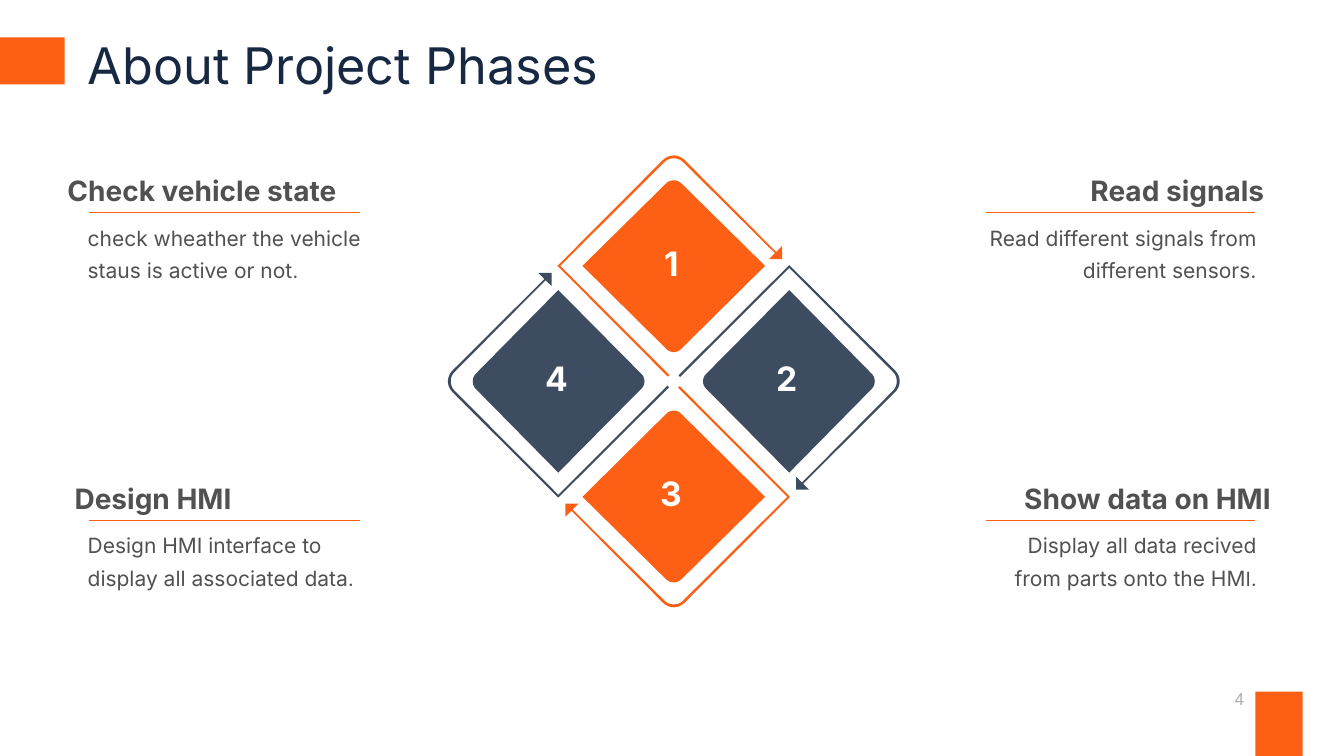
from lxml.etree import SubElement
from pptx import Presentation
from pptx.dml.color import RGBColor
from pptx.enum.shapes import MSO_CONNECTOR as Connector, MSO_SHAPE as Preset
from pptx.enum.text import MSO_ANCHOR as Anchor, PP_ALIGN as Align
from pptx.oxml.ns import qn
from pptx.util import Cm, Pt

COLORS = {"orange": "FD5F14", "navy": "172842", "gray": "515151",
          "pale": "B2B2B2", "white": "FFFFFF"}

CENTER = (16.98, 9.61)
NUMBER_RADIUS = 2.9

# Outlines of the top phase in cm from the center; a nested tuple is a
# Bezier curve given by two control points and an end point.
DIAMOND = [(-2.3, -2.91), (-0.19, -4.99),
           ((-0.09, -5.09), (0.09, -5.09), (0.19, -4.99)),
           (2.3, -2.91), (0.19, -0.82),
           ((0.09, -0.71), (-0.09, -0.71), (-0.19, -0.82))]
ARROW = [(-0.27, -5.58), ((-0.11, -5.73), (0.11, -5.73), (0.27, -5.58)),
         (2.58, -3.26), (2.73, -3.41), (2.73, -3.08), (2.4, -3.08),
         (2.55, -3.23), (0.23, -5.53),
         ((0.11, -5.65), (-0.11, -5.65), (-0.23, -5.53)),
         (-2.86, -2.91), (-0.11, -0.16), (-0.15, -0.12), (-2.93, -2.91)]

# heading, heading edge, body, smaller end of the body, right side?, rule height
NOTES = [
    ("Check vehicle state", 1.45,
     "check wheather the vehicle staus is active or not", ".", False, 5.36),
    ("Design HMI", 1.63,
     "Design HMI interface to display all associated data", ".", False, 13.11),
    ("Read signals", 32.11,
     "Read different signals from different sensors.", "", True, 5.36),
    ("Show data on HMI", 32.28,
     "Display all data recived from parts onto the HM", "I.", True, 13.11),
]


def flatten(outline, steps=10):
    """Replace each Bezier curve by points along it."""
    points = []
    for item in outline:
        if not isinstance(item[0], tuple):
            points.append(item)
            continue
        curve = (points[-1], *item)
        for step in range(1, steps + 1):
            t = step / steps
            weights = ((1 - t) ** 3, 3 * t * (1 - t) ** 2,
                       3 * t ** 2 * (1 - t), t ** 3)
            points.append(tuple(sum(w * p[axis] for w, p in zip(weights, curve))
                                for axis in (0, 1)))
    return points


def turn(point, quarters):
    """Turn a point clockwise by quarter turns."""
    x, y = point
    for _ in range(quarters):
        x, y = -y, x
    return x, y


class PhasePage:
    """Holds the style and the current slide."""

    font = "Inter"

    def __init__(self, deck):
        self.page = deck.slides.add_slide(deck.slide_layouts[6])
        self.shapes = self.page.shapes

    def color(self, name):
        return RGBColor.from_string(COLORS[name])

    def paint(self, shape, color, opacity=100):
        shape.shadow.inherit = False
        shape.fill.solid()
        shape.fill.fore_color.rgb = self.color(color)
        shape.line.fill.background()
        if opacity < 100:
            tint = shape.fill._xPr.find(".//" + qn("a:srgbClr"))
            SubElement(tint, qn("a:alpha"), val=str(opacity * 1000))

    def block(self, left, top, width, height, rotation=0):
        shape = self.shapes.add_shape(Preset.RECTANGLE, Cm(left), Cm(top),
                                      Cm(width), Cm(height))
        shape.rotation = rotation
        self.paint(shape, "orange")

    def outline(self, points, color, opacity):
        places = [(Cm(CENTER[0] + x), Cm(CENTER[1] + y)) for x, y in points]
        builder = self.shapes.build_freeform(*places[0], scale=1.0)
        builder.add_line_segments(places[1:], close=True)
        self.paint(builder.convert_to_shape(), color, opacity)

    def rule(self, left, right, top):
        line = self.shapes.add_connector(Connector.STRAIGHT, Cm(left), Cm(top),
                                         Cm(right), Cm(top))
        line.line.color.rgb = self.color("orange")
        line.line.width = Pt(1)
        SubElement(line._element.spPr, qn("a:effectLst"))

    def text(self, left, top, width, height, spans, color, align=Align.LEFT,
             bold=False, spacing=1.0, anchor=Anchor.TOP, font=None):
        """Add a one-paragraph box; spans are (wording, size) pairs."""
        box = self.shapes.add_textbox(Cm(left), Cm(top), Cm(width), Cm(height))
        frame = box.text_frame
        frame.word_wrap = True
        frame.vertical_anchor = anchor
        para = frame.paragraphs[0]
        para.alignment = align
        para.line_spacing = spacing
        for wording, size in spans:
            span = para.add_run()
            span.text = wording
            formats = {"name": font or self.font, "size": Pt(size), "bold": bold}
            for key, value in formats.items():
                setattr(span.font, key, value)
            span.font.color.rgb = self.color(color)

    def phase(self, index):
        color, opacity = (("orange", 100), ("navy", 83))[index % 2]
        for shape in (DIAMOND, ARROW):
            points = [turn(point, index) for point in flatten(shape)]
            self.outline(points, color, opacity)
        x, y = turn((0, -NUMBER_RADIUS), index)
        width, height = 1.75, 1.27
        self.text(CENTER[0] + x - 0.05 - width / 2,
                  CENTER[1] + y - 0.09 - height / 2, width, height,
                  [(str(index + 1), 24)], "white", Align.CENTER, bold=True)

    def note(self, heading, edge, body, ending, on_right, top):
        align = Align.RIGHT if on_right else Align.LEFT
        body_left, rule_left, rule_right = (
            (24.36, 24.84, 31.62) if on_right else (1.96, 2.24, 9.07))
        spans = [(body, 15)] + ([(ending, 14)] if ending else [])
        self.text(body_left, top, 7.56, 1.9, spans, "gray", align, spacing=1.3)
        width = 8.5
        self.text(edge - width if on_right else edge, top - 1.1, width, 1.1,
                  [(heading, 20)], "gray", align, bold=True)
        self.rule(rule_left, rule_right, top)


def main():
    deck = Presentation()
    deck.slide_width, deck.slide_height = Cm(33.87), Cm(19.05)
    page = PhasePage(deck)
    page.text(1.96, 0.74, 14.4, 1.78, [("About Project Phases", 36)], "navy")
    page.block(0, 0.94, 1.63, 1.19)
    for index in range(4):
        page.phase(index)
    for note in NOTES:
        page.note(*note)
    page.block(31.42, 17.65, 1.63, 1.19, rotation=270)
    page.text(23.98, 17.09, 7.62, 1.02, [("4", 12)], "pale", Align.RIGHT,
              anchor=Anchor.MIDDLE, font="Roboto")
    deck.save("out.pptx")


if __name__ == "__main__":
    main()
